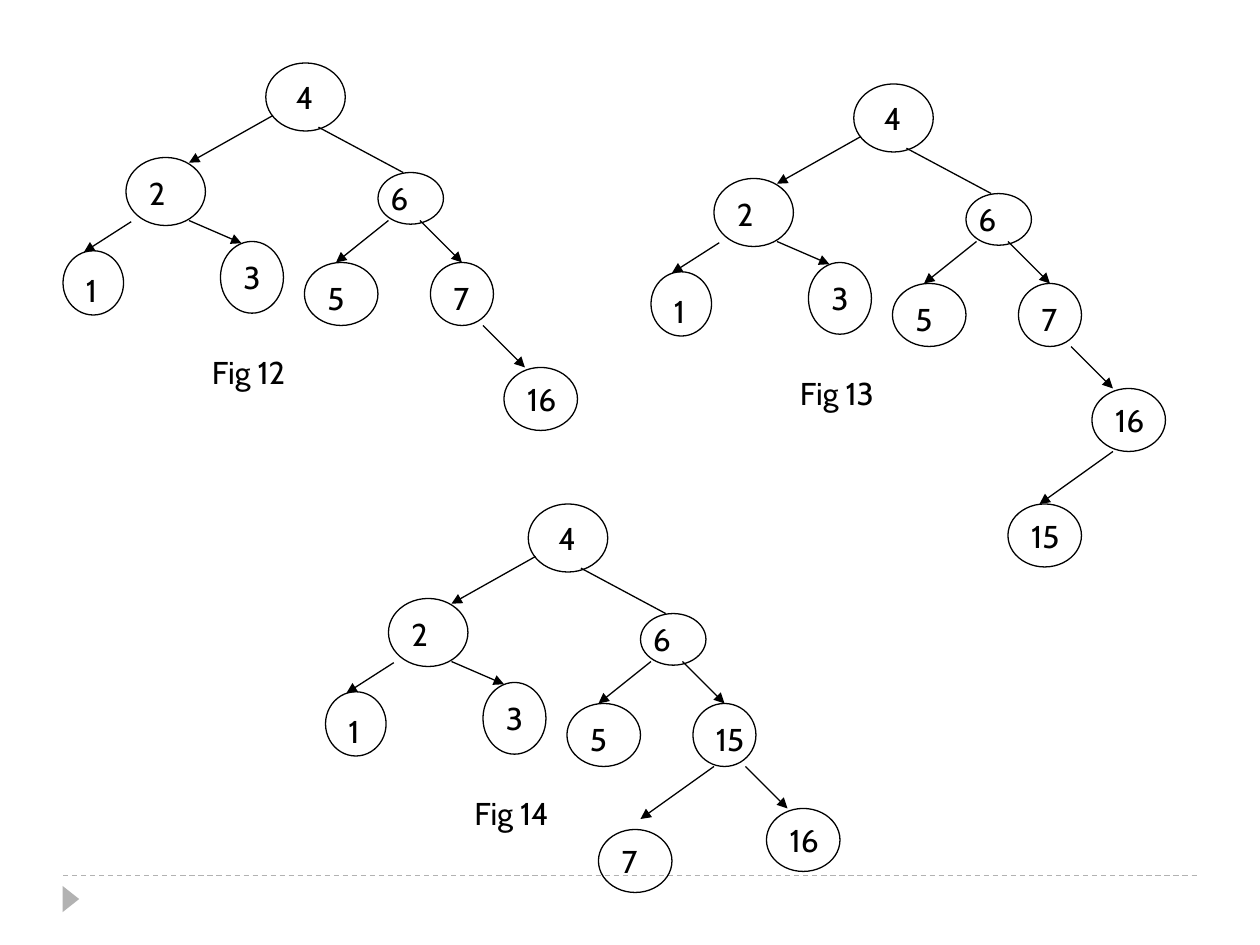
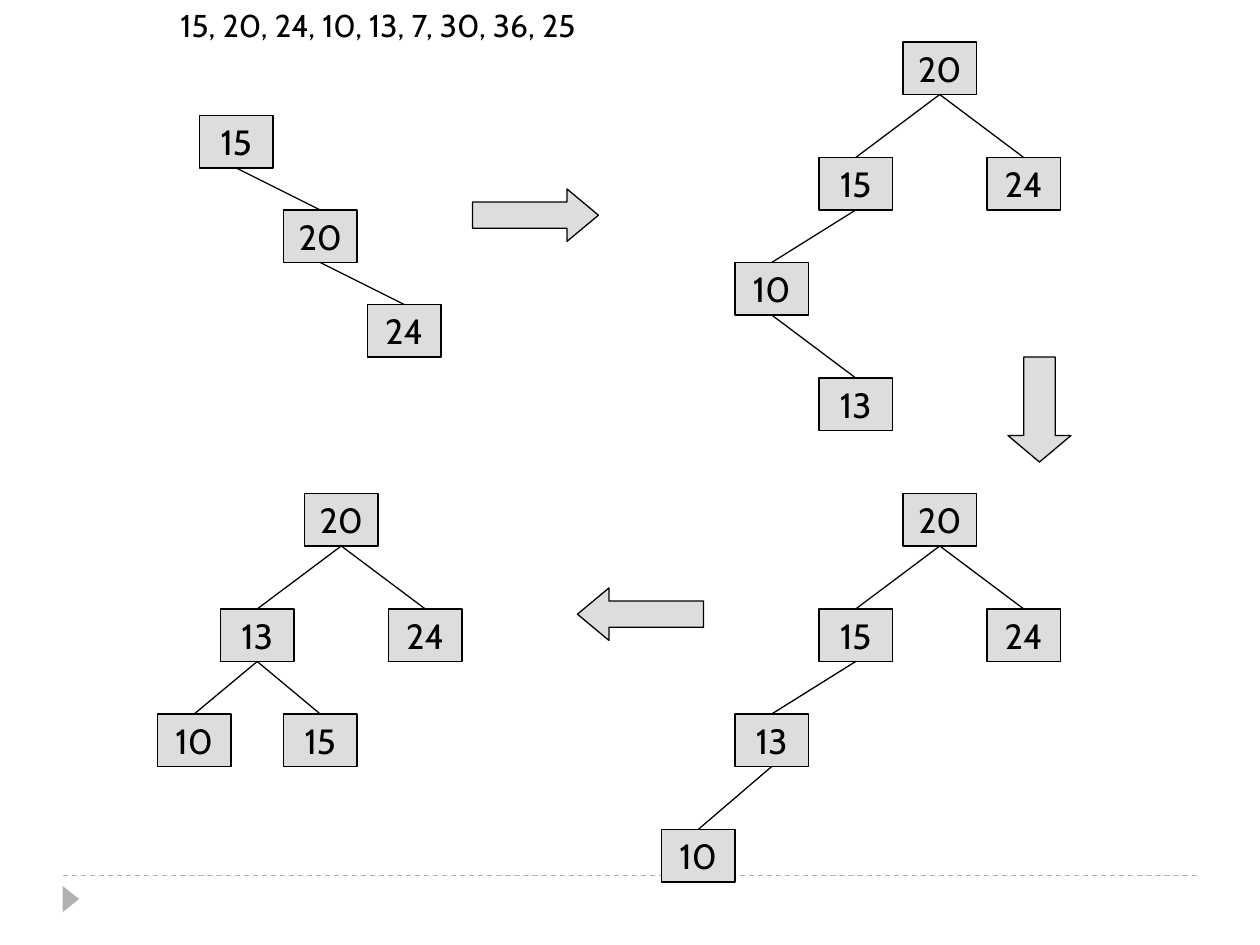
from dataclasses import dataclass

from lxml import etree
from pptx import Presentation
from pptx.dml.color import RGBColor
from pptx.enum.dml import MSO_LINE
from pptx.enum.shapes import MSO_CONNECTOR, MSO_SHAPE
from pptx.enum.text import MSO_ANCHOR, PP_ALIGN
from pptx.oxml.ns import qn
from pptx.util import Pt

STRAIGHT = MSO_CONNECTOR.STRAIGHT
OVAL, RECT, TRIANGLE = MSO_SHAPE.OVAL, MSO_SHAPE.RECTANGLE, MSO_SHAPE.ISOSCELES_TRIANGLE
RIGHT_ARROW, DOWN_ARROW, LEFT_ARROW = MSO_SHAPE.RIGHT_ARROW, MSO_SHAPE.DOWN_ARROW, MSO_SHAPE.LEFT_ARROW
TOP, MIDDLE = MSO_ANCHOR.TOP, MSO_ANCHOR.MIDDLE
LEFT, CENTER = PP_ALIGN.LEFT, PP_ALIGN.CENTER
DASH = MSO_LINE.DASH


@dataclass(frozen=True)
class Theme:
    ink: RGBColor = RGBColor(0x00, 0x00, 0x00)
    box: RGBColor = RGBColor(0xDD, 0xDD, 0xDD)
    footer: RGBColor = RGBColor(0xB2, 0xB2, 0xB2)
    font: str = "Cabin"
    label: Pt = Pt(18)
    key: Pt = Pt(20)
    line: Pt = Pt(0.75)


theme = Theme()


def add_line(shapes, points, color=theme.ink, arrow=False):
    s = shapes.add_connector(STRAIGHT, *map(Pt, points))
    s.line.color.rgb = color
    s.line.width = theme.line
    if arrow:
        etree.SubElement(s.line._ln, qn("a:tailEnd"), type="triangle")
    etree.SubElement(s._element.spPr, qn("a:effectLst"))
    return s


def add_item(shapes, kind, place, text="", fill=None, line=theme.ink,
             size=theme.label, align=LEFT):
    place = map(Pt, place)
    if kind is None:
        s = shapes.add_textbox(*place)
    else:
        s = shapes.add_shape(kind, *place)
        s.shadow.inherit = False
        for part, color in ((s.fill, fill), (s.line.fill, line)):
            if color is None:
                part.background()
            else:
                part.solid()
                part.fore_color.rgb = color
        if line is not None:
            s.line.width = theme.line
    if text:
        tf = s.text_frame
        tf.word_wrap = kind is None
        tf.vertical_anchor = TOP if kind is None else MIDDLE
        p = tf.paragraphs[0]
        p.alignment = align
        r = p.add_run()
        r.text = text
        for name, value in {"name": theme.font, "size": size, "bold": False}.items():
            setattr(r.font, name, value)
        r.font.color.rgb = theme.ink
    return s


prs = Presentation()
prs.slide_width, prs.slide_height = Pt(720), Pt(540)
blank = prs.slide_layouts[6]
figures, rotations = [prs.slides.add_slide(blank) for _ in range(2)]

for slide in (figures, rotations):
    s = add_line(slide.shapes, (36, 500.4, 684, 500.4), theme.footer)
    s.line.dash_style = DASH
    s = add_item(slide.shapes, TRIANGLE, (33, 509, 15, 9.5), fill=theme.footer, line=None)
    s.rotation = 90

ovals = [
    (151.9, 36, 45.4, 38.9), (72, 90, 45.4, 38.9), (216, 98.6, 37.4, 29.5),
    (246, 150, 36, 36), (36, 143.3, 34.6, 36.7), (126, 138, 36, 41), (174, 150, 42, 36),
]
arrows = [
    (156, 66, 108, 93), (240, 126, 264, 150), (75, 126.7, 48, 144),
    (108, 126, 138, 139), (222, 126, 192, 150), (276, 186, 300, 210),
]
labels = [
    ("4", 162, 41, 81), ("2", 78, 96, 50), ("6", 216, 98.5, 37.5),
    ("1", 42, 151.2, 39), ("3", 132, 144, 30), ("5", 180, 156, 60),
]
leaf_16 = ("16", 288, 210)
trees = [
    ("Fig 12", 0, 0, ("7", 31), [leaf_16], []),
    ("Fig 13", 336, 12, ("7", 31), [leaf_16, ("15", 240, 276)], [(300, 246, 258, 276)]),
    ("Fig 14", 150, 252, ("15", 42), [leaf_16, ("7", 192, 222)], [(258, 186, 216, 216)]),
]
for caption, dx, dy, (right_key, right_w), leaves, extra_arrows in trees:
    shapes = figures.shapes.add_group_shape().shapes
    for x, y, w, h in ovals:
        add_item(shapes, OVAL, (x + dx, y + dy, w, h))
    add_line(shapes, (182 + dx, 72.7 + dy, 230.4 + dx, 98.6 + dy))
    for x1, y1, x2, y2 in arrows + extra_arrows:
        add_line(shapes, (x1 + dx, y1 + dy, x2 + dx, y2 + dy), arrow=True)
    for text, x, y, w in labels + [(right_key, 252, 156, right_w), (caption, 114, 198, 90)]:
        add_item(shapes, None, (x + dx, y + dy, w, 29), text)
    for text, x, y in leaves:
        add_item(shapes, OVAL, (x + dx, y + dy, 42, 36), text)

s = add_item(rotations.shapes, None, (60, 0, 588, 29), "15, 20, 24, 10, 13, 7, 30, 36, 25")
s.text_frame.paragraphs[0]._p.get_or_add_pPr().set("marL", str(Pt(36)))

steps = [
    [("15", 114, 66, None), ("20", 162, 120, "15"), ("24", 210, 174, "20")],
    [("20", 516, 24, None), ("15", 468, 90, "20"), ("24", 564, 90, "20"),
     ("10", 420, 150, "15"), ("13", 468, 216, "10")],
    [("20", 516, 282, None), ("15", 468, 348, "20"), ("24", 564, 348, "20"),
     ("13", 420, 408, "15"), ("10", 378, 474, "13")],
    [("20", 174, 282, None), ("13", 126, 348, "20"), ("24", 222, 348, "20"),
     ("15", 162, 408, "13"), ("10", 90, 408, "13")],
]
for step in steps:
    nodes = {}
    for key, x, y, parent in step:
        nodes[key] = add_item(rotations.shapes, RECT, (x, y, 42, 30), key,
                              theme.box, size=theme.key, align=CENTER)
        if parent:
            s = add_line(rotations.shapes, (0, 0, 0, 0))
            s.begin_connect(nodes[parent], 2)
            s.end_connect(nodes[key], 0)

for kind, place, head in (
    (RIGHT_ARROW, (270, 108, 72, 30), 0.6),
    (DOWN_ARROW, (576, 204, 36, 60), 0.42),
    (LEFT_ARROW, (330, 336, 72, 30), 0.6),
):
    s = add_item(rotations.shapes, kind, place, fill=theme.box)
    s.adjustments[0], s.adjustments[1] = 0.5, head

prs.save("out.pptx")
